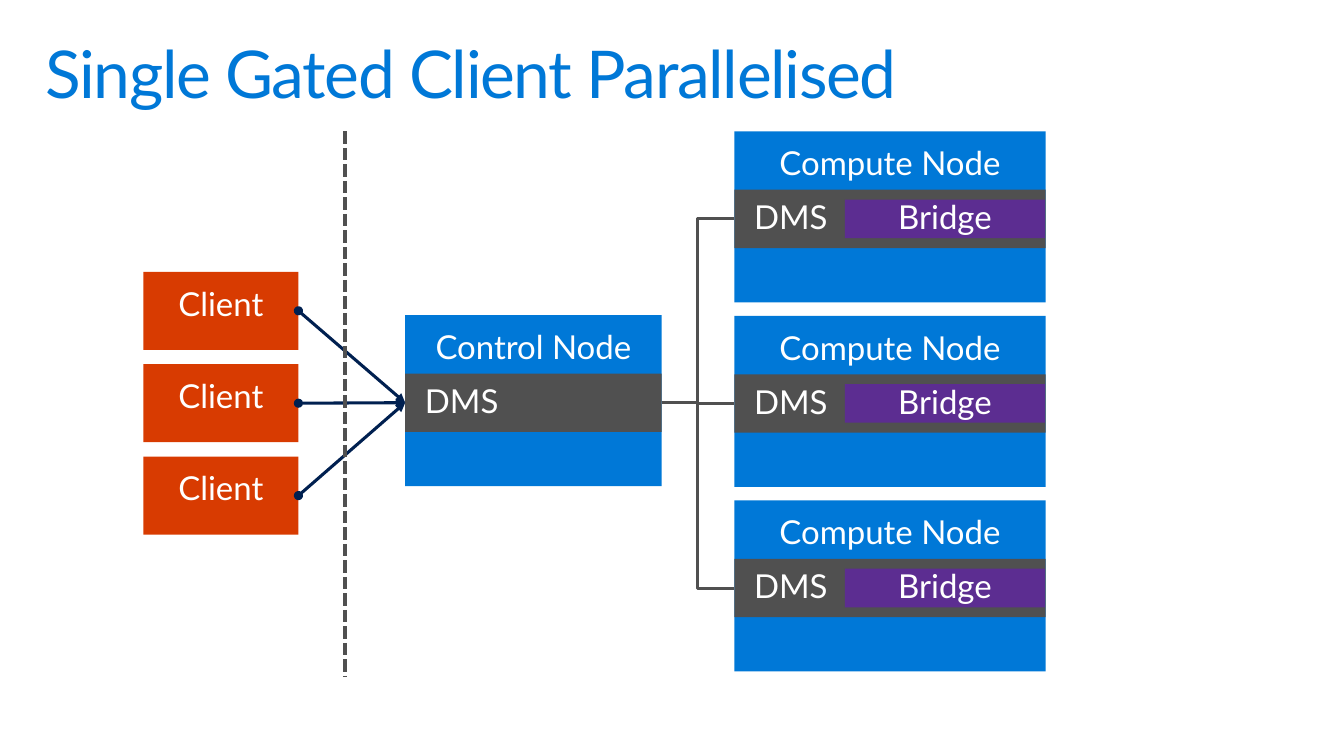
"""Build the slide of clients, a control node and parallel compute nodes."""
from dataclasses import dataclass
from typing import Any, NamedTuple

from pptx import Presentation
from pptx import util as u
from pptx.dml import color as c
from pptx.enum import dml, shapes, text
from pptx.oxml import ns, xmlchemy as x
from pptx.shapes import autoshape as a, connector as k

WIDTH, HEIGHT = u.Inches(13.6), u.Inches(7.65)
COLS, ROWS = 272, 153


@dataclass(frozen=True)
class Theme:
    """Colours, font and sizes in points."""
    font: str = "Lato"
    blue: str = "0078D7"
    grey: str = "505050"
    purple: str = "5C2D91"
    orange: str = "D83B01"
    navy: str = "002050"
    white: str = "FFFFFF"
    title: int = 48
    label: int = 24
    line: float = 2.25
    gate: int = 3


class Box(NamedTuple):
    """A rectangle in grid columns and rows."""
    col: float
    row: float
    cols: float
    rows: float


@dataclass(frozen=True)
class Label:
    """A labelled rectangle, placed relative to its owner's corner."""
    words: str
    box: Box
    fill: str
    align: Any = text.PP_ALIGN.CENTER
    anchor: Any = text.MSO_ANCHOR.TOP


T = Theme()
LEFT, MIDDLE = text.PP_ALIGN.LEFT, text.MSO_ANCHOR.MIDDLE
NODE_ROWS, BAND_ROW, BAND_ROWS = 34.6, 11.8, 11.8
CLIENT = Label("Client", Box(0, 0, 31.4, 15.8), T.orange)
BRIDGE = Label("Bridge", Box(22.4, 13.8, 40.5, 7.8), T.purple, anchor=MIDDLE)
CLIENT_COL, CLIENT_ROW, CLIENT_STEP = 29, 55, 18.7
CONTROL_COL, CONTROL_ROW, CONTROL_COLS = 82, 63.8, 51.9
COMPUTE_COL, COMPUTE_ROW, COMPUTE_STEP, COMPUTE_COLS = 148.6, 26.6, 37.35, 63
GATE_COL, GATE_TOP, GATE_BOTTOM = 69.9, 26.6, 136.8
LEFT_SITE, RIGHT_SITE = 1, 3


def col(n: float) -> int:
    """Return the length of n columns."""
    return round(WIDTH * n / COLS)


def row(n: float) -> int:
    """Return the length of n rows."""
    return round(HEIGHT * n / ROWS)


def apply(target: Any, values: dict[str, Any]) -> None:
    """Set each named attribute on the target."""
    for name, value in values.items():
        setattr(target, name, value)


def write(sp: a.Shape, words: str, size: int, colour: str, frame: dict[str, Any], align: Any) -> Any:
    """Fill a shape with one formatted run and return the run."""
    tf = sp.text_frame
    apply(tf, {"word_wrap": True, **frame})
    p = tf.paragraphs[0]
    apply(p, {"alignment": align, "line_spacing": 0.9})
    r = p.add_run()
    r.text = words
    apply(r.font, {"name": T.font, "size": u.Pt(size)})
    r.font.color.rgb = c.RGBColor.from_string(colour)
    return r


def add_title(s: Any, words: str) -> None:
    """Add the slide title."""
    sp = s.shapes.add_textbox(col(6), row(6.4), col(260), row(20))
    frame = {"margin_left": col(3.2), "margin_right": col(3.2), "margin_top": row(2), "margin_bottom": row(2)}
    r = write(sp, words, T.title, T.blue, frame, LEFT)
    r.font._element.set("spc", "-100")


def add_label(owner: Any, label: Label, left: float, top: float) -> a.Shape:
    """Add a labelled rectangle to a slide or group."""
    b = label.box
    sp = owner.shapes.add_shape(shapes.MSO_SHAPE.RECTANGLE, col(left + b.col), row(top + b.row), col(b.cols), row(b.rows))
    sp.shadow.inherit = False
    sp.fill.solid()
    sp.fill.fore_color.rgb = c.RGBColor.from_string(label.fill)
    sp.line.fill.background()
    frame = {"margin_left": col(4), "margin_right": col(4), "margin_top": row(3.2), "margin_bottom": row(3.2),
             "vertical_anchor": label.anchor}
    write(sp, label.words, T.label, T.white, frame, label.align)
    return sp


def add_node(s: Any, words: str, left: float, top: float, cols: float, bridged: bool = False) -> a.Shape:
    """Add a grouped node and return its DMS band."""
    group = s.shapes.add_group_shape()
    add_label(group, Label(words, Box(0, 0, cols, NODE_ROWS), T.blue), left, top)
    band = Label("DMS", Box(0, BAND_ROW, cols, BAND_ROWS), T.grey, LEFT, MIDDLE)
    sp = add_label(group, band, left, top)
    if bridged:
        add_label(group, BRIDGE, left, top)
    return sp


def add_line(s: Any, kind: Any, colour: str, weight: float, ends: tuple[int, int, int, int] = (0, 0, 0, 0)) -> k.Connector:
    """Add a plain connector."""
    line = s.shapes.add_connector(kind, *ends)
    line._element.spPr.append(x.OxmlElement("a:effectLst"))
    line.line.color.rgb = c.RGBColor.from_string(colour)
    line.line.width = u.Pt(weight)
    return line


def link(s: Any, start: a.Shape, end: a.Shape, kind: Any, colour: str) -> k.Connector:
    """Connect the right side of one shape to the left side of another."""
    line = add_line(s, kind, colour, T.line)
    line.begin_connect(start, RIGHT_SITE)
    line.end_connect(end, LEFT_SITE)
    return line


def add_arrowheads(line: k.Connector) -> None:
    """Give a connector a round start and a pointed end."""
    ln = line._element.spPr.find(ns.qn("a:ln"))
    for tag, kind in {"a:headEnd": "oval", "a:tailEnd": "triangle"}.items():
        end = x.OxmlElement(tag)
        end.set("type", kind)
        ln.append(end)


def main() -> None:
    """Build and save the slide."""
    prs = Presentation()
    apply(prs, {"slide_width": WIDTH, "slide_height": HEIGHT})
    s = prs.slides.add_slide(prs.slide_layouts[6])
    add_title(s, "Single Gated Client Parallelised")
    clients = [add_label(s, CLIENT, CLIENT_COL, CLIENT_ROW + i * CLIENT_STEP) for i in range(3)]
    computes = [add_node(s, "Compute Node", COMPUTE_COL, COMPUTE_ROW + i * COMPUTE_STEP, COMPUTE_COLS, True)
                for i in range(3)]
    control = add_node(s, "Control Node", CONTROL_COL, CONTROL_ROW, CONTROL_COLS)
    for compute in computes:
        link(s, control, compute, shapes.MSO_CONNECTOR.ELBOW, T.grey)
    for client in clients:
        add_arrowheads(link(s, client, control, shapes.MSO_CONNECTOR.STRAIGHT, T.navy))
    ends = (col(GATE_COL), row(GATE_TOP), col(GATE_COL), row(GATE_BOTTOM))
    gate = add_line(s, shapes.MSO_CONNECTOR.STRAIGHT, T.grey, T.gate, ends)
    gate.line.dash_style = dml.MSO_LINE.SQUARE_DOT
    prs.save("out.pptx")


if __name__ == "__main__":
    main()
